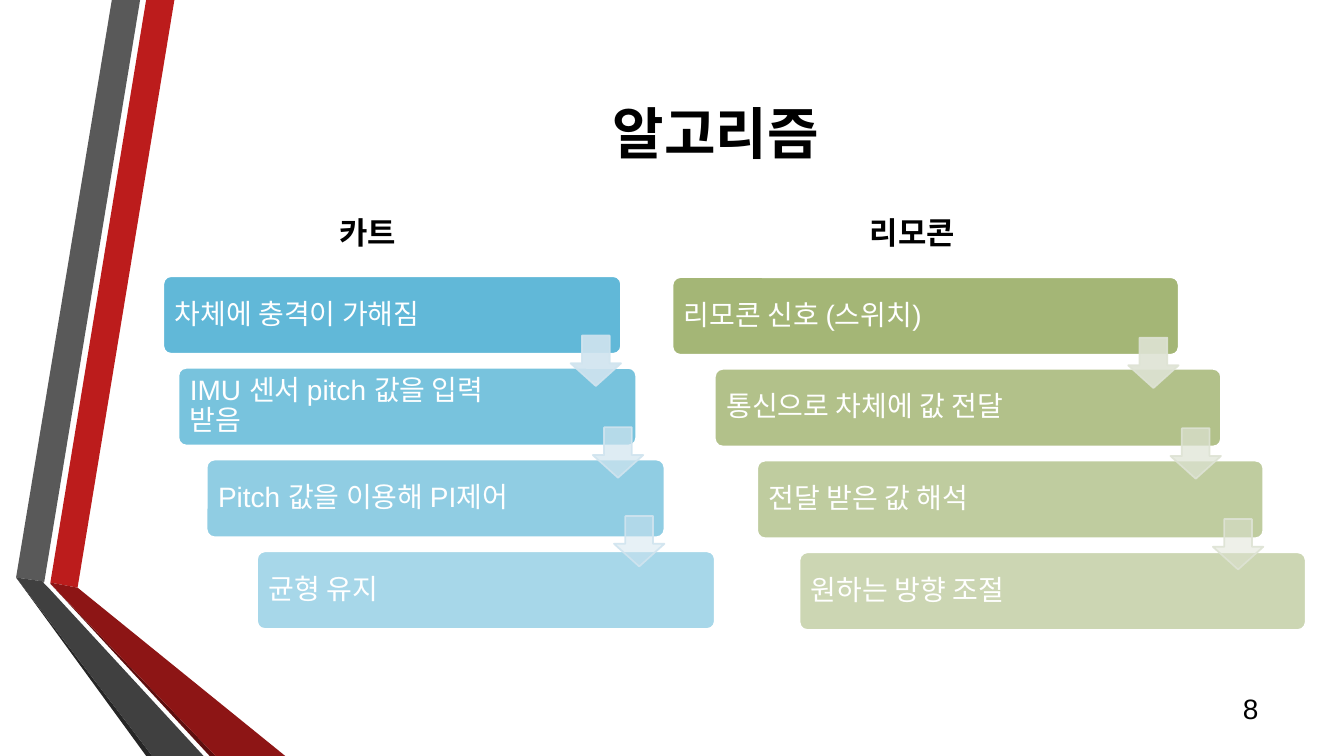
from lxml.etree import SubElement
from pptx import Presentation
from pptx.dml.color import RGBColor
from pptx.enum.shapes import MSO_SHAPE
from pptx.enum.text import MSO_ANCHOR, PP_ALIGN
from pptx.oxml.ns import qn
from pptx.util import Pt

PX = 9144  # EMU; 100 px make one inch
HANGUL = "Noto Sans CJK KR"

RIBBONS = [
    ("BC1C1C", [(50, 578), (77, 583), (173, 0), (145, 0)]),
    ("595959", [(139, 0), (111, 0), (16, 573), (44, 577)]),
    ("262626", [(16, 573), (145, 750), (151, 750)]),
    ("5E0E0E", [(50, 579), (208, 750), (214, 750)]),
    ("8D1515", [(50, 579), (214, 750), (283, 750), (77, 583), (50, 578)]),
    ("404040", [(202, 750), (48, 583), (43, 578), (44, 577), (16, 573), (151, 750)]),
]
STEP_ALPHAS = [90, 77, 63, 50]
ARROW_ALPHAS = [90, 70, 50]

CART_STEPS = ["차체에 충격이 가해짐", "IMU 센서 pitch 값을 입력 받음",
              "Pitch 값을 이용해 PI제어", "균형 유지"]
CART_LEFTS = [162, 177, 205, 255]
CART_ARROWS = [(566, 333), (588, 424), (609, 512)]

REMOTE_STEPS = ["리모콘 신호 (스위치)", "통신으로 차체에 값 전달",
                "전달 받은 값 해석", "원하는 방향 조절"]
REMOTE_LEFTS = [667 + 42 * i for i in range(4)]
REMOTE_ARROWS = [(1119 + 42 * i, 335 + 90 * i) for i in range(3)]


def px(*lengths):
    return [length * PX for length in lengths]


def rgb(color):
    return RGBColor.from_string(color)


def paint(fill, color, alpha=100):
    """Fill with a solid colour, alpha being its opacity in percent."""
    fill.solid()
    fill.fore_color.rgb = rgb(color)
    if alpha < 100:
        srgb = fill._xPr.find(".//" + qn("a:srgbClr"))
        SubElement(srgb, qn("a:alpha"), val=str(alpha * 1000))


def write(tf, text, size, color, font="Arial", bold=False, align=PP_ALIGN.LEFT):
    p = tf.paragraphs[0]
    p.text = text
    p.alignment = align
    p.font.size = Pt(size)
    p.font.name = font
    p.font.bold = bold
    p.font.color.rgb = rgb(color)
    SubElement(p.font._element, qn("a:ea"), typeface=HANGUL)
    return p


def add_label(slide, box, text, size, anchor=MSO_ANCHOR.MIDDLE, **style):
    tf = slide.shapes.add_textbox(*px(*box)).text_frame
    tf.word_wrap = True
    tf.vertical_anchor = anchor
    write(tf, text, size, "000000", **style)


def add_ribbon(slide, color, points):
    builder = slide.shapes.build_freeform(*points[0], scale=PX)
    builder.add_line_segments(points[1:], close=True)
    sp = builder.convert_to_shape()
    sp.shadow.inherit = False
    paint(sp.fill, color)
    sp.line.fill.background()


def add_preset(slide, preset, box, adjustments, fill, alpha, line, line_alpha=100):
    sp = slide.shapes.add_shape(preset, *px(*box))
    sp.shadow.inherit = False
    for i, value in enumerate(adjustments):
        sp.adjustments[i] = value
    paint(sp.fill, fill, alpha)
    paint(sp.line.fill, line, line_alpha)
    sp.line.width = Pt(1.25)
    return sp


def add_step(slide, box, text, color, alpha):
    sp = add_preset(slide, MSO_SHAPE.ROUNDED_RECTANGLE, box, [0.1], color, alpha, "FFFFFF")
    tf = sp.text_frame
    tf.word_wrap = True
    tf.vertical_anchor = MSO_ANCHOR.MIDDLE
    tf.margin_left, tf.margin_right = px(9, 97)
    p = write(tf, text, 20, "FFFFFF")
    p.line_spacing = 0.9


def add_staircase(slide, steps, lefts, top, width, color, arrows, arrow_color):
    """Draw descending steps with arrows leading from each one to the next."""
    for i, (text, left, alpha) in enumerate(zip(steps, lefts, STEP_ALPHAS)):
        add_step(slide, (left, top + 91 * i, width, 77), text, color, alpha)
    for (left, arrow_top), alpha in zip(arrows, ARROW_ALPHAS):
        add_preset(slide, MSO_SHAPE.DOWN_ARROW, (left, arrow_top, 50, 50),
                   [0.55, 0.45], arrow_color, alpha, arrow_color, 90)


def main():
    prs = Presentation()
    prs.slide_width, prs.slide_height = px(1333, 750)
    slide = prs.slides.add_slide(prs.slide_layouts[6])

    for color, points in RIBBONS:
        add_ribbon(slide, color, points)
    add_label(slide, (162, 75, 1096, 113), "알고리즘", 40,
              font=HANGUL, bold=True, align=PP_ALIGN.CENTER)
    add_label(slide, (1198, 683, 60, 40), "8", 20, align=PP_ALIGN.RIGHT)

    add_staircase(slide, CART_STEPS, CART_LEFTS, 274, 454, "50B1D4",
                  CART_ARROWS, "D0E4EF")
    add_staircase(slide, REMOTE_STEPS, REMOTE_LEFTS, 275, 502, "9BAF68",
                  REMOTE_ARROWS, "DEE3D4")
    add_label(slide, (327, 207, 98, 47), "카트", 22, MSO_ANCHOR.TOP, bold=True)
    add_label(slide, (853, 207, 115, 47), "리모콘", 22, MSO_ANCHOR.TOP, bold=True)

    prs.save("out.pptx")


if __name__ == "__main__":
    main()
